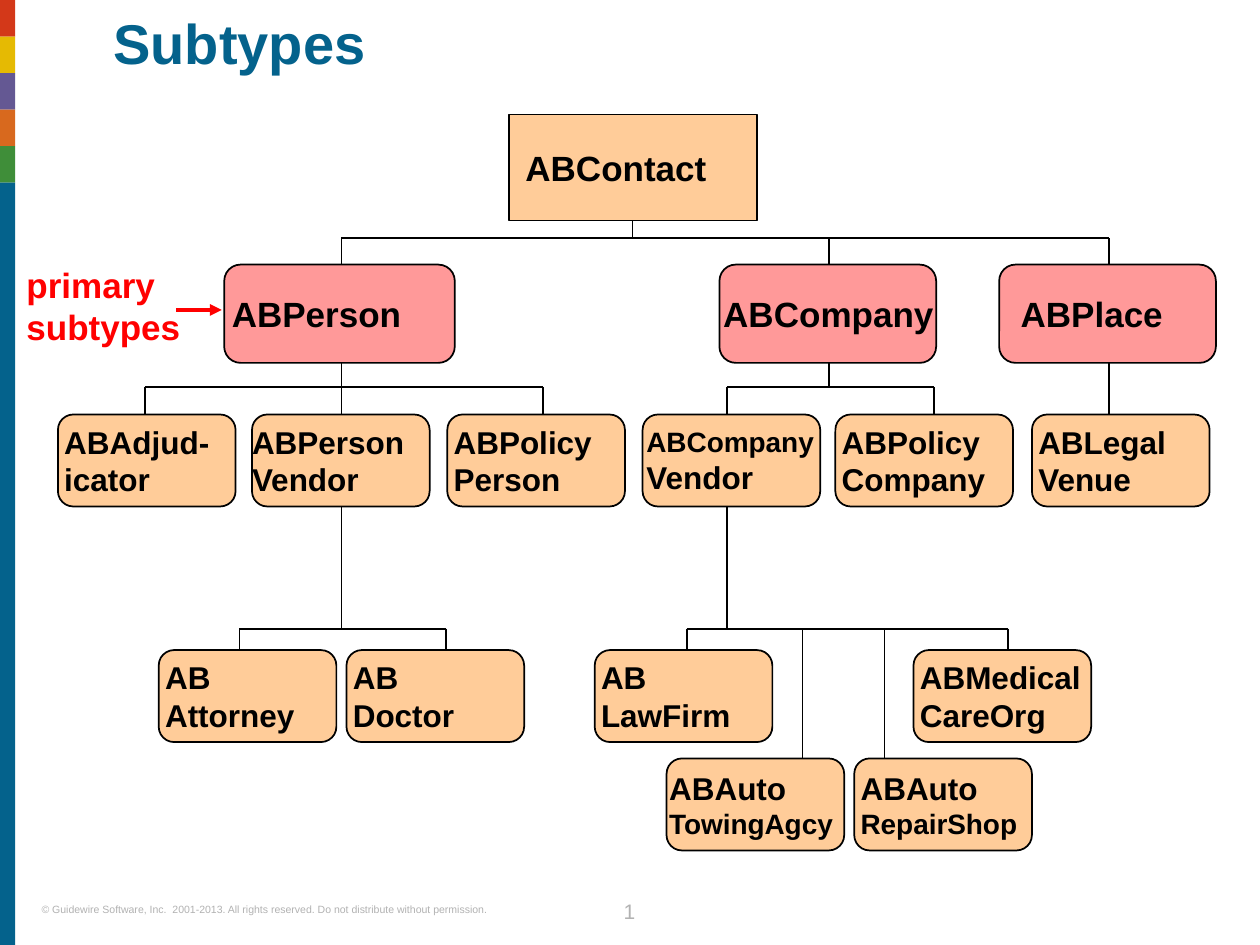
from lxml.etree import SubElement
from pptx import Presentation
from pptx.dml.color import RGBColor
from pptx.enum.shapes import MSO_CONNECTOR, MSO_SHAPE
from pptx.enum.text import MSO_ANCHOR, PP_ALIGN
from pptx.oxml import parse_xml
from pptx.oxml.ns import nsdecls, qn
from pptx.util import Inches, Pt

BLACK, RED, GREY, TEAL = "000000", "FF0000", "B2B2B2", "04628C"
PEACH, PINK = "FFCC99", "FF9999"
SIDEBAR = ["D33819", "E5BA03", "645893", "D8691E", "3F8E39"]
COPYRIGHT = ("© Guidewire Software, Inc.  2001-2013. All rights reserved. "
             "Do not distribute without permission.")
ROUNDING = 0.167

# level: top, width, height, fill
LEVELS = {
    "root": (0.91, 1.97, 0.84, PEACH),
    "person": (2.1, 1.83, 0.78, PINK),
    "primary": (2.1, 1.72, 0.78, PINK),
    "second": (3.29, 1.41, 0.73, PEACH),
    "third": (5.16, 1.41, 0.73, PEACH),
    "fourth": (6.02, 1.41, 0.73, PEACH),
}
# level, left, line position, text indent, lines with sizes
BOXES = {
    "contact": ("root", 4.04, 5.02, 0.13, [("ABContact", 20)]),
    "person": ("person", 1.78, 2.71, 0.06, [("ABPerson", 20)]),
    "company": ("primary", 5.71, 6.58, 0.03, [("ABCompany", 20)]),
    "place": ("primary", 7.93, 8.8, 0.17, [("ABPlace", 20)]),
    "adjudicator": ("second", 0.46, 1.15, 0.05, [("ABAdjud-", 18), ("icator", 18)]),
    "person vendor": ("second", 2, 2.71, 0, [("ABPerson", 18), ("Vendor", 18)]),
    "policy person": ("second", 3.55, 4.31, 0.05, [("ABPolicy", 18), ("Person", 18)]),
    "company vendor": ("second", 5.1, 5.77, 0.03, [("ABCompany", 16), ("Vendor", 18)]),
    "policy company": ("second", 6.63, 7.41, 0.05, [("ABPolicy", 18), ("Company", 18)]),
    "legal venue": ("second", 8.19, 8.8, 0.05, [("ABLegal", 18), ("Venue", 18)]),
    "attorney": ("third", 1.26, 1.9, 0.05, [("AB", 18), ("Attorney", 18)]),
    "doctor": ("third", 2.75, 3.54, 0.05, [("AB", 18), ("Doctor", 18)]),
    "law firm": ("third", 4.72, 5.45, 0.05, [("AB", 18), ("LawFirm", 18)]),
    "medical": ("third", 7.25, 8, 0.05, [("ABMedical", 18), ("CareOrg", 18)]),
    "towing": ("fourth", 5.29, 6.37, 0.02, [("ABAuto", 18), ("TowingAgcy", 16)]),
    "repair": ("fourth", 6.78, 7.02, 0.05, [("ABAuto", 18), ("RepairShop", 16)]),
}
# parent, height of the branching line, children
BRANCHES = [
    ("contact", 1.89, ["person", "company", "place"]),
    ("person", 3.07, ["adjudicator", "person vendor", "policy person"]),
    ("company", 3.07, ["company vendor", "policy company"]),
    ("place", 3.07, ["legal venue"]),
    ("person vendor", 4.99, ["attorney", "doctor"]),
    ("company vendor", 4.99, ["law firm", "towing", "repair", "medical"]),
]


def rgb(value):
    return RGBColor.from_string(value)


def style(font, size, color, bold=False):
    font.name, font.size, font.bold = "Arial", Pt(size), bold
    font.color.rgb = rgb(color)


def set_insets(frame, left=0, right=0):
    frame.word_wrap = True
    frame.margin_left, frame.margin_right = Inches(left), Inches(right)
    frame.margin_top = frame.margin_bottom = 0


def add_line(shapes, x1, y1, x2, y2, color=BLACK, width=1):
    line = shapes.add_connector(MSO_CONNECTOR.STRAIGHT, *map(Inches, (x1, y1, x2, y2)))
    line.line.color.rgb = rgb(color)
    line.line.width = Pt(width)
    SubElement(line._element.spPr, qn("a:effectLst"))
    return line


def add_block(shapes, kind, left, top, width, height, fill):
    block = shapes.add_shape(kind, *map(Inches, (left, top, width, height)))
    block.shadow.inherit = False
    block.fill.solid()
    block.fill.fore_color.rgb = rgb(fill)
    block.line.fill.background()
    return block


def add_text(shapes, left, top, width, height, text, size, color, bold=False):
    box = shapes.add_textbox(*map(Inches, (left, top, width, height)))
    set_insets(box.text_frame)
    paragraph = box.text_frame.paragraphs[0]
    paragraph.text = text
    style(paragraph.font, size, color, bold)
    return paragraph


def add_branch(shapes, parent, bus, children):
    top, _, height, _ = LEVELS[BOXES[parent][0]]
    stem = BOXES[parent][2]
    ends = [BOXES[child][2] for child in children]
    add_line(shapes, stem, top + height, stem, bus)
    if len(ends) > 1:
        add_line(shapes, min(ends), bus, max(ends), bus)
    for child, x in zip(children, ends):
        add_line(shapes, x, bus, x, LEVELS[BOXES[child][0]][0])


def add_type(shapes, level, left, _, indent, lines):
    top, width, height, fill = LEVELS[level]
    rounded = level != "root"
    kind = MSO_SHAPE.ROUNDED_RECTANGLE if rounded else MSO_SHAPE.RECTANGLE
    box = add_block(shapes, kind, left, top, width, height, fill)
    box.line.color.rgb = rgb(BLACK)
    box.line.width = Pt(1)
    corner = 0
    if rounded:
        box.adjustments[0] = ROUNDING
        corner = 0.29 * ROUNDING * height
    frame = box.text_frame
    set_insets(frame, indent - corner, -corner)
    frame.vertical_anchor = MSO_ANCHOR.MIDDLE
    paragraph = frame.paragraphs[0]
    paragraph.alignment = PP_ALIGN.LEFT
    style(paragraph.font, lines[0][1], BLACK, True)
    for i, (text, size) in enumerate(lines):
        if i:
            paragraph.add_line_break()
        run = paragraph.add_run()
        run.text = text
        style(run.font, size, BLACK, True)


def main():
    prs = Presentation()
    prs.slide_width, prs.slide_height = Inches(10), Inches(7.5)
    slide = prs.slides.add_slide(prs.slide_layouts[5])
    shapes = slide.shapes

    title = shapes.title
    title.left, title.top, title.width, title.height = map(Inches, (0.9, 0.13, 9.1, 0.81))
    title.text = "Subtypes"
    set_insets(title.text_frame)
    title.text_frame.vertical_anchor = MSO_ANCHOR.TOP
    heading = title.text_frame.paragraphs[0]
    heading.alignment, heading.line_spacing = PP_ALIGN.LEFT, 0.9
    style(heading.font, 32, TEAL, True)

    band = 0.29
    for i, color in enumerate(SIDEBAR):
        add_block(shapes, MSO_SHAPE.RECTANGLE, 0, i * band, 0.12, band, color)
    stripe_end = len(SIDEBAR) * band
    add_block(shapes, MSO_SHAPE.RECTANGLE, 0, stripe_end, 0.12, 7.5 - stripe_end, TEAL)

    add_text(shapes, 0.33, 7.17, 4.02, 0.1, COPYRIGHT, 6, GREY)
    number = add_text(shapes, 4.71, 7.08, 0.57, 0.25, "", 12, GREY)
    number.alignment, number.line_spacing = PP_ALIGN.CENTER, Pt(18)
    number._p.append(parse_xml(
        f'<a:fld {nsdecls("a")} id="{{B6F15528-21DE-4FAA-801E-634DDDAF4B2B}}" type="slidenum">'
        f'<a:rPr lang="en-US" sz="1200"><a:solidFill><a:srgbClr val="{GREY}"/></a:solidFill>'
        '<a:latin typeface="Arial"/></a:rPr><a:t>3</a:t></a:fld>'))

    for branch in BRANCHES:
        add_branch(shapes, *branch)
    for box in BOXES.values():
        add_type(shapes, *box)

    add_text(shapes, 0.21, 2.09, 1.59, 0.67, "primary subtypes", 20, RED, True)
    arrow = add_line(shapes, 1.4, 2.46, 1.76, 2.46, RED, 2.25)
    SubElement(arrow.line._get_or_add_ln(), qn("a:tailEnd"), type="triangle")

    prs.save("out.pptx")


if __name__ == "__main__":
    main()
